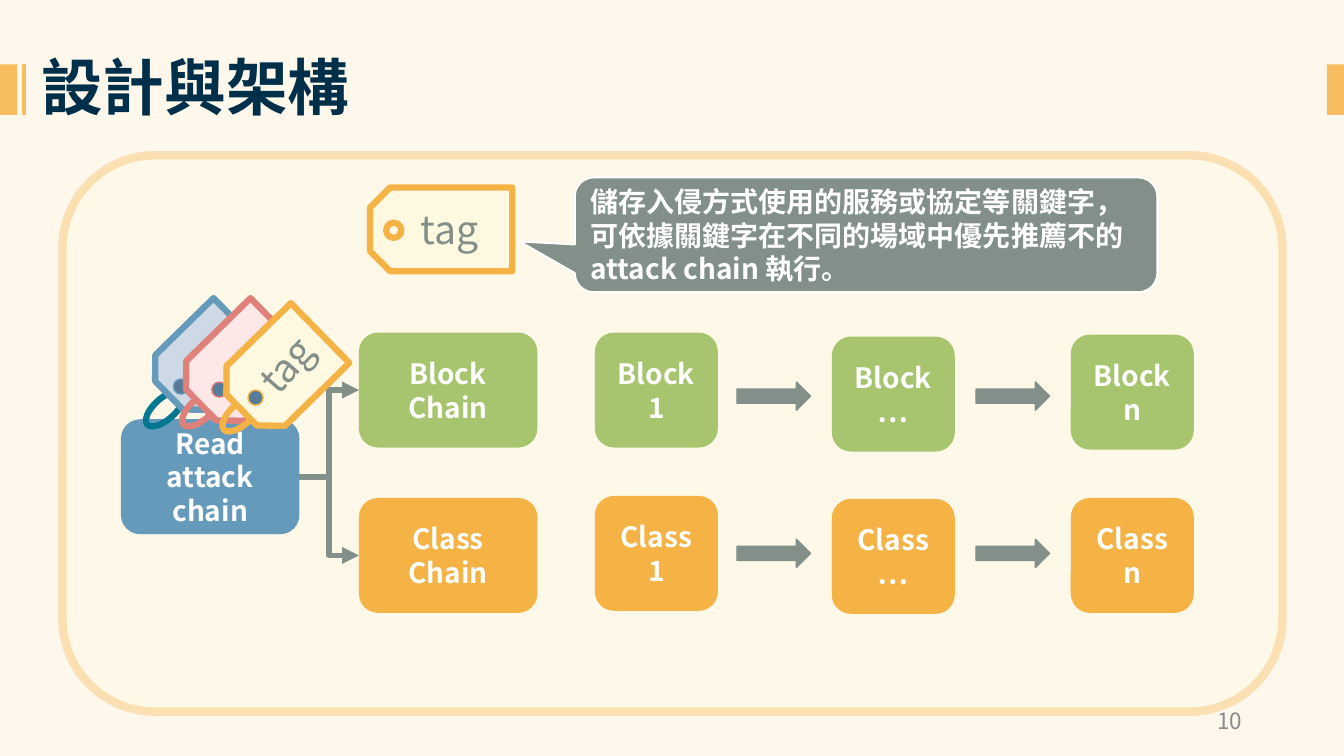
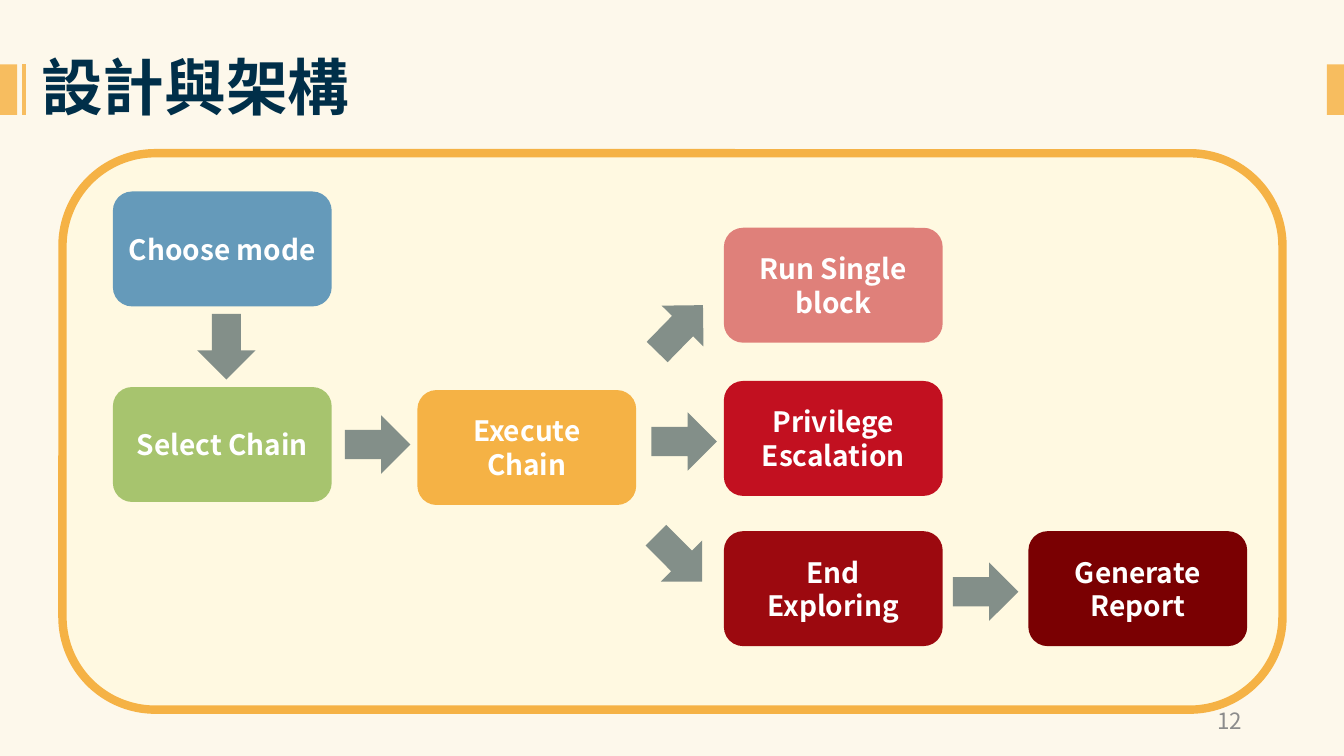
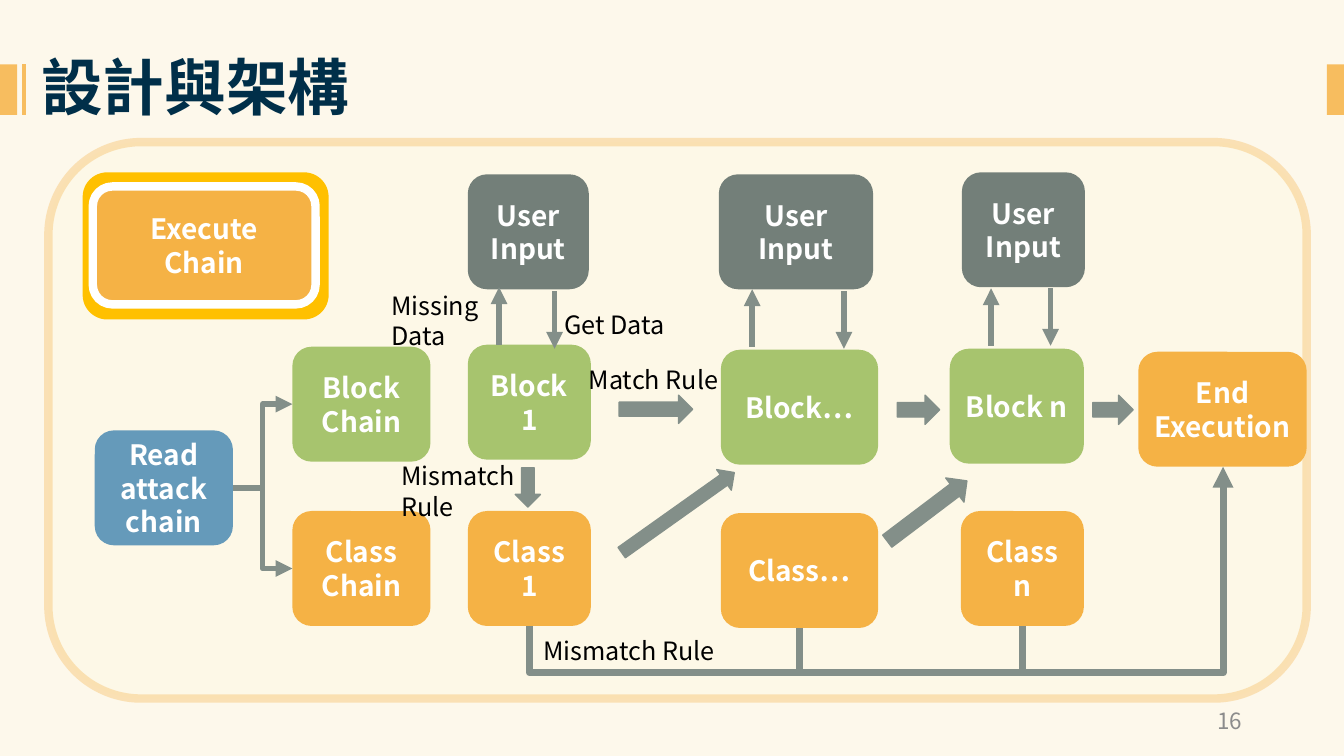
import dataclasses
import lxml.etree
import pptx
import pptx.dml.color
import pptx.enum.shapes
import pptx.enum.text
import pptx.oxml.ns
import pptx.util

INK = {
    "page": "FDF8EB", "band": "F7BD5F", "title": "002F49", "cream": "FFF9E1",
    "gold": "F5B245", "green": "A7C46E", "blue": "659ABA", "gray": "838F89",
    "slate": "737F79", "amber": "FFC000", "pink": "DF807A", "red": "C21020",
    "wine": "9C090F", "maroon": "7A0002", "white": "FFFFFF", "black": "000000",
    "folio": "8C8C8C", "teal": "047792", "mist": "CDD9E4", "blush": "FDE8E7",
    "dot": "577C99", "hole": "FEF8E8",
}
FACE = "Noto Sans CJK SC"
TITLE = "設計與架構"
TALL = 1.14
FORM = pptx.enum.shapes.MSO_SHAPE
LINK = pptx.enum.shapes.MSO_CONNECTOR
ALIGN = pptx.enum.text.PP_ALIGN
ANCHOR = pptx.enum.text.MSO_ANCHOR
qn = pptx.oxml.ns.qn


def inch(*nums):
    return [pptx.util.Inches(num) for num in nums]


def tint(fill, ink, alpha=None):
    fill.solid()
    fill.fore_color.rgb = pptx.dml.color.RGBColor.from_string(INK[ink])
    if alpha:
        return alpha


def fade(shape, share):
    for color in shape._element.spPr.iter(qn("a:srgbClr")):
        lxml.etree.SubElement(color, qn("a:alpha"), val=str(share * 1000))


def write(shape, text, size, ink, bold=False, align=ALIGN.LEFT, anchor=ANCHOR.TOP):
    frame = shape.text_frame
    frame.word_wrap = True
    frame.auto_size = pptx.enum.text.MSO_AUTO_SIZE.NONE
    frame.vertical_anchor = anchor
    frame.text = text
    for para in frame.paragraphs:
        para.alignment = align
        font = para.font
        font.size = pptx.util.Pt(size)
        font.bold = bold
        tint(font.fill, ink)
        font.name = FACE
        props = para._p.get_or_add_pPr().find(qn("a:defRPr"))
        lxml.etree.SubElement(props, qn("a:ea"), typeface=FACE)


def style(link, ink, width, head):
    tint(link.line.fill, ink)
    link.line.width = pptx.util.Pt(width)
    props = link._element.spPr
    if head:
        lxml.etree.SubElement(props.find(qn("a:ln")), qn("a:tailEnd"), type="triangle")
    lxml.etree.SubElement(props, qn("a:effectLst"))


@dataclasses.dataclass
class Area:
    slide: object
    left: float = 0
    top: float = 0

    def spot(self, x, y):
        return inch(self.left + x, self.top + y)

    def shape(self, form, x, y, w, h, fill=None, line=None, width=1, turn=0, bends=()):
        item = self.slide.shapes.add_shape(form, *self.spot(x, y), *inch(w, h))
        item.shadow.inherit = False
        item.rotation = turn
        for place, bend in enumerate(bends):
            item.adjustments[place] = bend
        if fill:
            tint(item.fill, fill)
        else:
            item.fill.background()
        if line:
            tint(item.line.fill, line)
            item.line.width = pptx.util.Pt(width)
        else:
            item.line.fill.background()
        return item

    def block(self, text, x, y, w, fill, h=TALL, line=None, width=1):
        item = self.shape(FORM.ROUNDED_RECTANGLE, x, y, w, h, fill, line, width)
        write(item, text, 20, "white", True, ALIGN.CENTER, ANCHOR.MIDDLE)
        return item

    def arrow(self, x, y, w, h, turn=0, line="gray"):
        self.shape(FORM.RIGHT_ARROW, x, y, w, h, "gray", line, 1, turn)

    def label(self, text, x, y, w, h, size=18, ink="black", turn=0, **rest):
        item = self.slide.shapes.add_textbox(*self.spot(x, y), *inch(w, h))
        item.rotation = turn
        write(item, text, size, ink, **rest)

    def line(self, start, stop, ink="gray", width=4, head=True):
        link = self.slide.shapes.add_connector(
            LINK.STRAIGHT, *self.spot(*start), *self.spot(*stop))
        style(link, ink, width, head)
        return link

    def elbow(self, one, side, two, other, width=4):
        link = self.slide.shapes.add_connector(LINK.ELBOW, 0, 0, 0, 0)
        link.begin_connect(one, side)
        link.end_connect(two, other)
        style(link, "gray", width, True)
        return link


def base(deck, number):
    slide = deck.slides.add_slide(deck.slide_layouts[5])
    title = slide.shapes.title
    title.left, title.top, title.width, title.height = inch(0.31, 0.43, 4.62, 0.84)
    write(title, TITLE, 44, "title", True, anchor=ANCHOR.MIDDLE)
    area = Area(slide)
    for x in (0, 13.16):
        area.shape(FORM.RECTANGLE, x, 0.64, 0.17, 0.5, "band")
    area.line((0.24, 0.64), (0.24, 1.14), "band", 3, False)
    area.label(number, 9.42, 6.95, 3, 0.4, 16, "folio",
               align=ALIGN.RIGHT, anchor=ANCHOR.MIDDLE)
    return slide


def panel(slide, x, y, w, h, faint):
    area = Area(slide, x, y)
    item = area.shape(FORM.ROUNDED_RECTANGLE, 0, 0, w, h, "cream", "gold", 6)
    if faint:
        fade(item, 33)
    return area


def fork(area, x, y, w, gap, drop):
    read = area.block("Read\nattack chain", x, y + drop, w, "blue")
    for text, fill, down in (("Block Chain", "green", 0), ("Class Chain", "gold", gap)):
        chain = area.block(text, x + w + 0.59, y + down, w, fill)
        area.elbow(read, 3, chain, 1)


def card(area, x, y, w, h, turn, fill, line):
    area.shape(FORM.SNIP_2_SAME_RECTANGLE, x, y, w, h, fill, line, 4.5, turn, (0.24, 0))


def tags(area, x, y):
    rows = (
        (0, 0, "teal", "mist", "blue", (0.25, -0.87, 0.76, 0.99), (0.32, -0.19)),
        (0.36, 0, "pink", "blush", "pink", (0.21, -0.86, 0.83, 1.09), (0.34, -0.16)),
        (0.76, 0.05, "gold", "cream", "gold", (0.21, -0.86, 0.83, 1.09), (0.30, -0.13)),
    )
    for right, down, cord, fill, edge, (dx, dy, w, h), (px, py) in rows:
        a, b = x + right, y + down
        area.shape(FORM.OVAL, a, b, 0.47, 0.21, None, cord, 4.5, 318)
        card(area, a + dx, b + dy, w, h, 225.6, fill, edge)
        area.shape(FORM.OVAL, a + px, b + py, 0.15, 0.15, "dot", edge, 1)
    area.label("tag", x + 1.04, y - 0.64, 0.83, 0.57, 28, "gray", 311.5)


def legend(area, x, y):
    card(area, x, y, 0.83, 1.41, 270, "cream", "gold")
    area.label("tag", x + 0.11, y + 0.42, 1.21, 0.57, 28, "gray")
    area.shape(FORM.OVAL, x - 0.13, y + 0.64, 0.15, 0.15, "hole", "gold", 4.5)
    note = area.shape(FORM.ROUNDED_RECTANGULAR_CALLOUT, x + 1.74, y + 0.19, 5.78, TALL,
                      "gray", "white", 1.5, bends=(-0.595, 0.057, 0.167))
    write(note, "儲存入侵方式使用的服務或協定等關鍵字，可依據關鍵字在不同的場域中優先推薦不的 "
          "attack chain 執行。", 20, "white", True, anchor=ANCHOR.MIDDLE)


def chains(slide, x, y, w, h):
    area = panel(slide, x, y, w, h, True)
    fork(area, 0.58, 1.76, 1.77, 1.64, 0.86)
    rows = (("Block", "green", (1.76, 1.8, 1.78), 2.25),
            ("Class", "gold", (3.38, 3.41, 3.4), 3.81))
    for word, fill, tops, level in rows:
        for end, left, top in zip((" 1", "…", " n"), (5.28, 7.63, 10), tops):
            area.block(word + end, left, top, 1.22, fill)
        for left in (6.69, 9.06):
            area.arrow(left, level, 0.73, 0.28)
    tags(area, 0.78, 2.41)
    legend(area, 3.34, 0.03)


def modes(slide, x, y, w, h):
    area = panel(slide, x, y, w, h, False)
    for text, left, top, fill in (
        ("Choose mode", 0.5, 0.38, "blue"),
        ("Select Chain", 0.5, 2.32, "green"),
        ("Execute Chain", 3.52, 2.35, "gold"),
        ("Run Single block", 6.56, 0.74, "pink"),
        ("Privilege Escalation", 6.56, 2.26, "red"),
        ("End Exploring", 6.56, 3.75, "wine"),
        ("Generate Report", 9.58, 3.75, "maroon"),
    ):
        area.block(text, left, top, 2.17, fill)
    for left, top, turn in (
        (1.3, 1.63, 90), (2.8, 2.6, 0), (8.83, 4.06, 0),
        (5.8, 1.45, 314.3), (5.79, 3.73, 45.1), (5.84, 2.57, 0),
    ):
        area.arrow(left, top, 0.65, 0.58, turn, None)


def detour(area, start, stop):
    link = area.elbow(start, 2, stop, 2, 5)
    link.left, link.top = area.spot(7.42, 0.57)
    link.width, link.height = inch(1.58, 6.88)
    props = link._element.spPr
    frame = props.find(qn("a:xfrm"))
    for key, value in (("rot", "5400000"), ("flipH", "1"), ("flipV", "1")):
        frame.set(key, value)
    guides = props.find(qn("a:prstGeom")).find(qn("a:avLst"))
    lxml.etree.SubElement(guides, qn("a:gd"), name="adj1", fmla="val -29400")


def rules(slide, x, y, w, h):
    area = panel(slide, x, y, w, h, True)
    area.shape(FORM.ROUNDED_RECTANGLE, 0.34, 0.3, 2.44, 1.46, "amber")
    area.block("Execute Chain", 0.44, 0.44, 2.21, "gold", 1.17, "white", 6)
    fork(area, 0.46, 2.03, 1.37, 1.63, 0.83)
    steps = (
        (" 1", (4.16, 0.32, 1.2), (4.16, 2.01, 1.22), (4.16, 3.66, 1.22)),
        ("…", (6.65, 0.32, 1.53), (6.67, 2.06, 1.56), (6.67, 3.68, 1.56)),
        (" n", (9.06, 0.3, 1.22), (8.94, 2.05, 1.33), (9.05, 3.66, 1.22)),
    )
    ends = []
    for end, asks, block, kind in steps:
        area.block("User Input", *asks, "slate")
        area.block("Block" + end, *block, "green")
        ends.append(area.block("Class" + end, *kind, "gold"))
    last = area.block("End Execution", 10.81, 2.08, 1.67, "gold")
    for left, start, stop in (
        (4.47, 2.01, 1.44), (5.02, 1.48, 2.05), (6.98, 2.03, 1.46),
        (7.89, 1.48, 2.05), (9.35, 2.02, 1.45), (9.94, 1.45, 2.02),
    ):
        area.line((left, start), (left, stop))
    for spot in (
        (5.66, 2.51, 0.73, 0.28), (5.56, 3.55, 1.37, 0.25, 324.6),
        (4.56, 3.3, 0.39, 0.25, 90), (8.42, 2.51, 0.42, 0.29),
        (8.22, 3.51, 0.99, 0.3, 322.9), (10.36, 2.51, 0.4, 0.29),
    ):
        area.arrow(*spot)
    detour(area, ends[0], last)
    for item, left in zip(ends[1:], (7.45, 9.66)):
        area.line((left, 4.82), (left, 5.25), width=5, head=False).begin_connect(item, 2)
    for spot in (
        ("Missing Data", 3.3, 1.42, 1.61, 0.71),
        ("Get Data", 5.02, 1.61, 1.49, 0.4),
        ("Match Rule", 5.26, 2.16, 1.78, 0.4),
        ("Mismatch Rule", 3.4, 3.11, 1.79, 0.71),
        ("Mismatch Rule", 4.81, 4.84, 2.46, 0.4),
    ):
        area.label(*spot)


def main():
    deck = pptx.Presentation()
    deck.slide_width, deck.slide_height = inch(13.33, 7.5)
    tint(deck.slide_master.background.fill, "page")
    for number, draw, box in (
        ("10", chains, (0.62, 1.54, 12.1, 5.52)),
        ("12", modes, (0.62, 1.52, 12.1, 5.52)),
        ("16", rules, (0.48, 1.41, 12.48, 5.52)),
    ):
        draw(base(deck, number), *box)
    deck.save("out.pptx")


if __name__ == "__main__":
    main()
